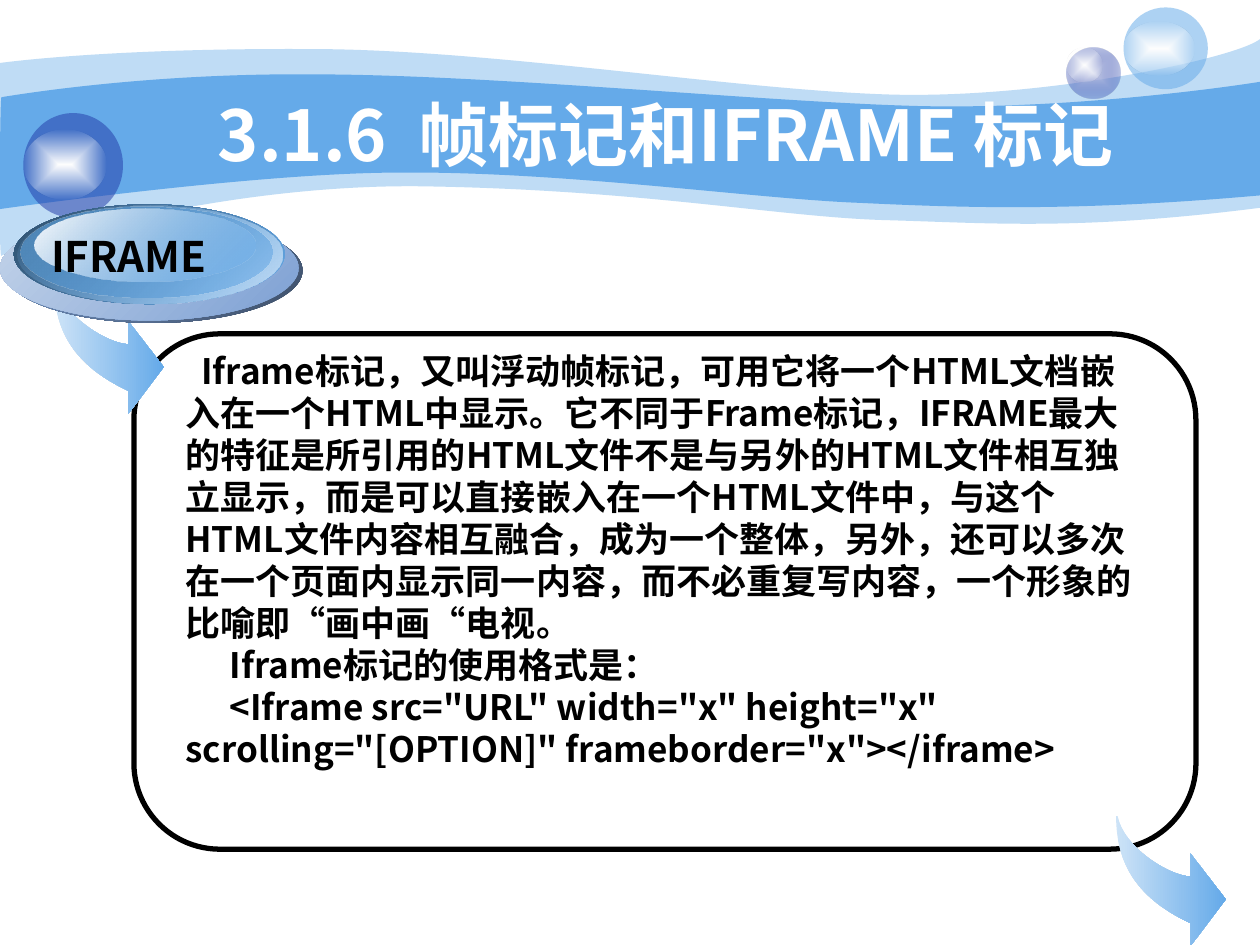
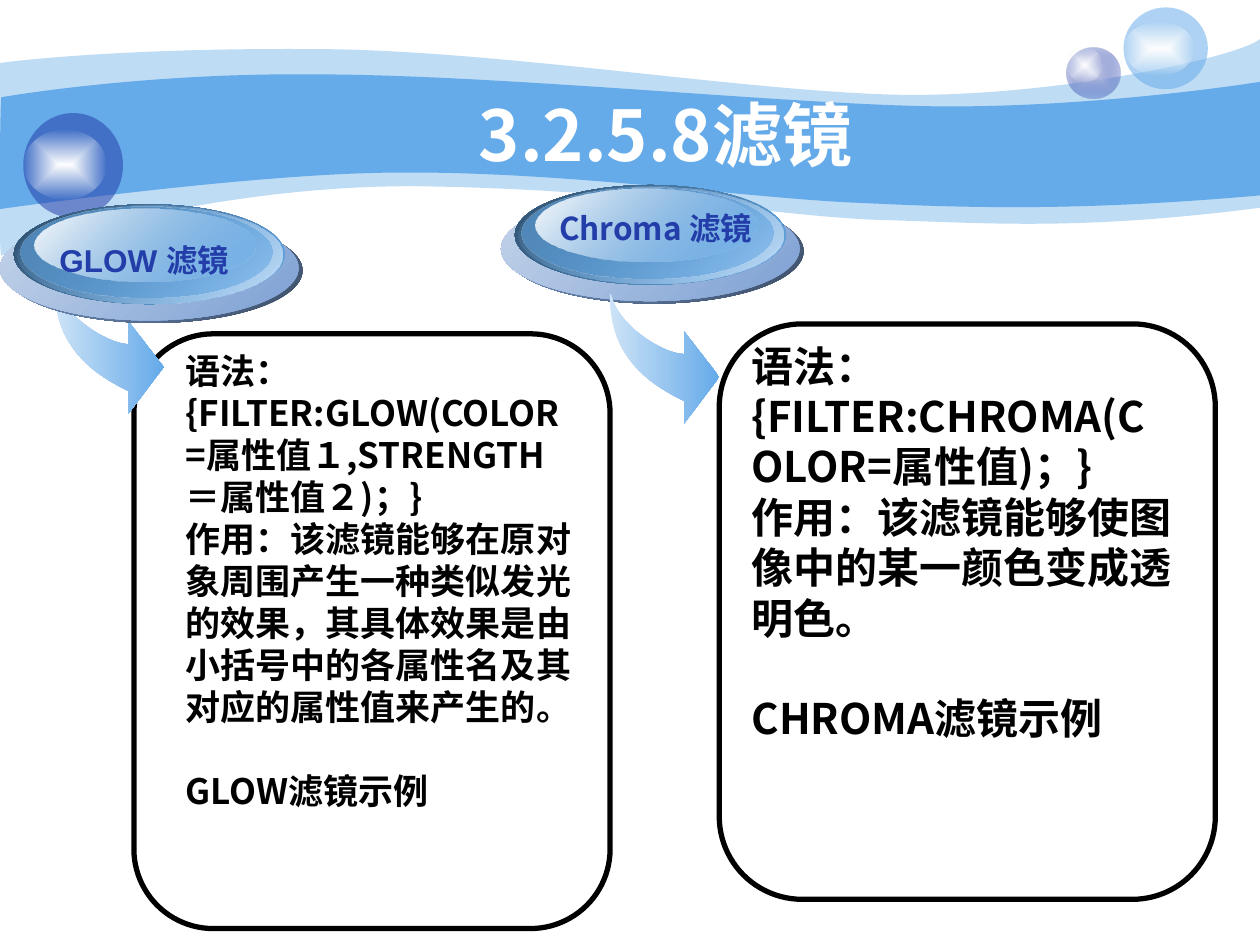
from lxml import etree
from pptx import Presentation
from pptx.dml.color import RGBColor
from pptx.enum.shapes import MSO_SHAPE
from pptx.enum.text import MSO_ANCHOR, MSO_AUTO_SIZE, PP_ALIGN
from pptx.oxml.ns import qn
from pptx.util import Cm, Pt

ELLIPSE = MSO_SHAPE.OVAL
ROUNDED = MSO_SHAPE.ROUNDED_RECTANGLE
LEFT, CENTER = PP_ALIGN.LEFT, PP_ALIGN.CENTER
TOP, MIDDLE = MSO_ANCHOR.TOP, MSO_ANCHOR.MIDDLE
GROW, FIXED = MSO_AUTO_SIZE.SHAPE_TO_FIT_TEXT, MSO_AUTO_SIZE.NONE

FONT = "Noto Sans CJK SC"
SKY, NAVY, BLACK, WHITE = "65AAE9", "233DA9", "000000", "FFFFFF"
LINE_HEIGHT = 1.2

# Outlines in cm: a pair is a line to a point, six numbers are a Bézier curve
OUTER_WAVE = [
    (0, 1.27),
    (0.61, 1.19, 2.72, 0.97, 6.27, 0.99),
    (9.8, 0.99, 14.6, 1.78, 17.75, 1.9),
    (20.88, 2.03, 24.89, 1.19, 25.4, 0.79),
    (25.4, 4.19),
    (21.79, 4.65, 19.99, 4.5, 17.91, 4.44),
    (15.8, 4.39, 13.08, 3.84, 8.71, 3.76),
    (4.37, 3.66, 0.1, 5.05, 0.03, 5.16),
    (-0.03, 5.28, 0, 1.91, 0, 1.27),
]
INNER_WAVE = [
    (0.03, 1.96),
    (0.05, 1.96, 2.79, 1.47, 6.3, 1.5),
    (9.8, 1.5, 15.11, 2.03, 18.24, 2.13),
    (21.36, 2.24, 24.79, 1.75, 25.4, 1.65),
    (25.4, 3.94),
    (21.67, 4.27, 19.43, 4.19, 17.32, 4.09),
    (15.21, 4.01, 11.35, 3.45, 8.05, 3.48),
    (5.16, 3.48, -0.05, 4.22, -0.03, 4.22),
    (0, 4.22, 0, 1.96, 0.03, 1.96),
]
ARROW = [
    (0, 0),
    (0, 1.02, 0.48, 1.68, 1.5, 2.16),
    (1.5, 2.62),
    (2.21, 1.68),
    (1.5, 0.76),
    (1.5, 1.22),
    (1.1, 1.22, 0.15, 0.65, 0.03, 0),
]

# Gradient stops: (position, colour, opacity), all in percent
GLOSS = [(0, WHITE, 100), (100, "FEFEFE", 0)]
ARROW_FADE = [(0, "CDE3F7", 100), (100, SKY, 100)]

# Layers of a disc, from back to front: box in cm, then gradient
DISC_LAYERS = [
    ((0.08, 0.28, 6.02, 2.11), [(0, "3C4D66", 100), (100, "7DA0D3", 100)]),
    ((0, 0.23, 6.02, 2.11), [(0, "7DA0D3", 100), (100, "C4D4EA", 100)]),
    ((0.28, 0, 5.46, 2.01), [(0, SKY, 100), (100, "2E4E6B", 100)]),
    ((0.36, 0.03, 5.33, 1.96), [(0, "C8E0F6", 100), (100, SKY, 0)]),
    ((0.41, 0.05, 5.08, 1.83), [(0, SKY, 48), (100, "4F86B7", 100)]),
    ((0.69, 0.08, 4.47, 1.47), [(0, SKY, 38), (100, "FEFEFE", 100)]),
]


def rgb(color):
    return RGBColor.from_string(color)


def add_alpha(color_element, opacity):
    if opacity < 100:
        alpha = etree.SubElement(color_element, qn("a:alpha"))
        alpha.set("val", str(opacity * 1000))


def fill_solid(shape, color, opacity=100):
    shape.fill.solid()
    shape.fill.fore_color.rgb = rgb(color)
    add_alpha(shape._element.spPr.find(qn("a:solidFill"))[0], opacity)


def fill_gradient(shape, stops, angle=None):
    """Fill along an angle in degrees, or outwards from the centre without one."""
    gradient = etree.Element(qn("a:gradFill"), rotWithShape="1")
    stop_list = etree.SubElement(gradient, qn("a:gsLst"))
    for position, color, opacity in stops:
        stop = etree.SubElement(stop_list, qn("a:gs"), pos=str(position * 1000))
        add_alpha(etree.SubElement(stop, qn("a:srgbClr"), val=color), opacity)
    if angle is None:
        center = etree.SubElement(gradient, qn("a:path"), path="rect")
        etree.SubElement(center, qn("a:fillToRect"),
                         {side: "50000" for side in "ltrb"})
    else:
        etree.SubElement(gradient, qn("a:lin"), ang=str(angle * 60000), scaled="0")
    shape.fill.background()
    properties = shape._element.spPr
    properties.replace(properties.find(qn("a:noFill")), gradient)


def add_plain_shape(shapes, kind, left, top, width, height):
    shape = shapes.add_shape(kind, Cm(left), Cm(top), Cm(width), Cm(height))
    shape.shadow.inherit = False
    shape.line.fill.background()
    return shape


def add_outline(slide, outline, left=0, top=0):
    """Draw the end points as a freeform, then bend the curved segments."""
    points = [(Cm(left + segment[-2]), Cm(top + segment[-1])) for segment in outline]
    builder = slide.shapes.build_freeform(*points[0])
    builder.add_line_segments(points[1:], close=True)
    shape = builder.convert_to_shape()
    shape.shadow.inherit = False
    shape.line.fill.background()
    lines = list(shape._element.iter(qn("a:lnTo")))
    for line, segment in zip(lines, outline[1:]):
        if len(segment) == 6:
            line.tag = qn("a:cubicBezTo")
            for index in (0, 1):
                x, y = segment[2 * index:2 * index + 2]
                control = etree.Element(qn("a:pt"), x=str(Cm(left + x) - shape.left),
                                        y=str(Cm(top + y) - shape.top))
                line.insert(index, control)
    return shape


def add_text(slide, paragraphs, left, top, width, height, *, size, color=BLACK,
             latin=FONT, align=LEFT, anchor=TOP, wrap=True, auto_size=GROW,
             indents=None, gap_before=None):
    """Add bold paragraphs; gap_before is the one that follows an empty line."""
    box = slide.shapes.add_textbox(Cm(left), Cm(top), Cm(width), Cm(height))
    frame = box.text_frame
    frame.word_wrap = wrap
    frame.auto_size = auto_size
    frame.vertical_anchor = anchor
    for index, text in enumerate(paragraphs):
        paragraph = frame.paragraphs[0] if index == 0 else frame.add_paragraph()
        paragraph.alignment = align
        paragraph.line_spacing = Pt(size * LINE_HEIGHT)
        if index == gap_before:
            paragraph.space_before = Pt(size * LINE_HEIGHT)
        if indents:
            paragraph._p.get_or_add_pPr().set("indent", str(Cm(indents[index])))
        run = paragraph.add_run()
        run.text = text
        run.font.size = Pt(size)
        run.font.bold = True
        run.font.name = latin
        run.font.color.rgb = rgb(color)
        east_asian = etree.SubElement(run._r.get_or_add_rPr(), qn("a:ea"))
        east_asian.set("typeface", FONT)


def add_bubble(slide, ball, shine):
    """Group a ball with its highlight and return the ball for filling."""
    group = slide.shapes.add_group_shape()
    body = add_plain_shape(group.shapes, ELLIPSE, *ball)
    fill_gradient(add_plain_shape(group.shapes, ELLIPSE, *shine), GLOSS)
    return body


def add_disc(slide, left, top):
    group = slide.shapes.add_group_shape()
    for (x, y, width, height), stops in DISC_LAYERS:
        layer = add_plain_shape(group.shapes, ELLIPSE, left + x, top + y, width, height)
        fill_gradient(layer, stops, angle=225)


def add_arrow(slide, left, top):
    fill_gradient(add_outline(slide, ARROW, left, top), ARROW_FADE, angle=0)


def add_panel(slide, left, top, width, height):
    panel = add_plain_shape(slide.shapes, ROUNDED, left, top, width, height)
    panel.adjustments[0] = 0.167
    panel.fill.background()
    panel.line.color.rgb = rgb(BLACK)
    panel.line.width = Pt(3)


def add_titled_slide(presentation, title):
    slide = presentation.slides.add_slide(presentation.slide_layouts[6])
    # Waves
    fill_solid(add_outline(slide, OUTER_WAVE), SKY, 41)
    fill_solid(add_outline(slide, INNER_WAVE), SKY)
    # Bubbles
    small = add_bubble(slide, (21.51, 0.97, 1.07, 1.02), (21.51, 0.97, 0.71, 0.69))
    fill_gradient(small, [(0, "C6CCE8", 100), (100, NAVY, 31)])
    light = add_bubble(slide, (22.65, 0.15, 1.7, 1.65), (22.65, 0.43, 1.42, 1.09))
    fill_solid(light, SKY, 53)
    dark = add_bubble(slide, (0.47, 2.28, 2.01, 2.11), (0.47, 2.61, 1.68, 1.42))
    fill_solid(dark, NAVY, 53)
    # Title
    add_text(slide, [title], 2.53, 1.9, 21.77, 1.57, size=40, color=WHITE,
             align=CENTER, anchor=MIDDLE, auto_size=FIXED)
    return slide


def build_iframe_slide(presentation):
    slide = add_titled_slide(presentation, "3.1.6  帧标记和IFRAME 标记")
    add_panel(slide, 2.7, 6.73, 21.41, 10.39)
    add_arrow(slide, 1.09, 5.72)
    add_disc(slide, 0, 4.12)
    add_text(slide, ["IFRAME"], 0.69, 4.52, 3.81, 1.27, size=24, align=CENTER)
    add_text(slide, [
        "Iframe标记，又叫浮动帧标记，可用它将一个HTML文档嵌入在一个HTML中显示。"
        "它不同于Frame标记，IFRAME最大的特征是所引用的HTML文件不是与另外的HTML"
        "文件相互独立显示，而是可以直接嵌入在一个HTML文件中，与这个HTML文件内容"
        "相互融合，成为一个整体，另外，还可以多次在一个页面内显示同一内容，而不必"
        "重复写内容，一个形象的比喻即“画中画“电视。",
        "Iframe标记的使用格式是：",
        '<Iframe src="URL" width="x" height="x" scrolling="[OPTION]" '
        'frameborder="x"></iframe>',
    ], 3.49, 6.92, 19.81, 9.58, size=20, indents=(0.32, 0.89, 0.89))
    add_arrow(slide, 22.5, 16.45)


def build_filter_slide(presentation):
    slide = add_titled_slide(presentation, "3.2.5.8滤镜")
    # Glow filter
    add_panel(slide, 2.7, 6.73, 9.6, 11.99)
    add_arrow(slide, 1.09, 5.72)
    add_disc(slide, 0, 4.12)
    add_text(slide, ["GLOW 滤镜"], 0.61, 4.73, 4.6, 1.02, size=18, color=NAVY,
             latin="Arial", align=CENTER)
    add_text(slide, [
        "语法：{FILTER:GLOW(COLOR=属性值１,STRENGTH＝属性值２)；}",
        "作用：该滤镜能够在原对象周围产生一种类似发光的效果，其具体效果是由小括号"
        "中的各属性名及其对应的属性值来产生的。",
        "GLOW滤镜示例",
    ], 3.49, 6.92, 8.41, 9.58, size=20, gap_before=2)
    # Chroma filter
    add_disc(slide, 10.1, 3.73)
    add_text(slide, ["Chroma 滤镜"], 11.02, 4.09, 4.6, 1.02, size=18, color=NAVY,
             wrap=False)
    add_arrow(slide, 12.29, 5.92)
    add_panel(slide, 14.5, 6.53, 10, 11.6)
    add_text(slide, [
        "语法：{FILTER:CHROMA(COLOR=属性值)；}",
        "作用：该滤镜能够使图像中的某一颜色变成透明色。",
        "CHROMA滤镜示例",
    ], 14.9, 6.73, 8.99, 8.38, size=24, gap_before=2)


def main():
    presentation = Presentation()
    presentation.slide_width = Cm(25.4)
    presentation.slide_height = Cm(19.05)
    build_iframe_slide(presentation)
    build_filter_slide(presentation)
    presentation.save("out.pptx")


if __name__ == "__main__":
    main()
